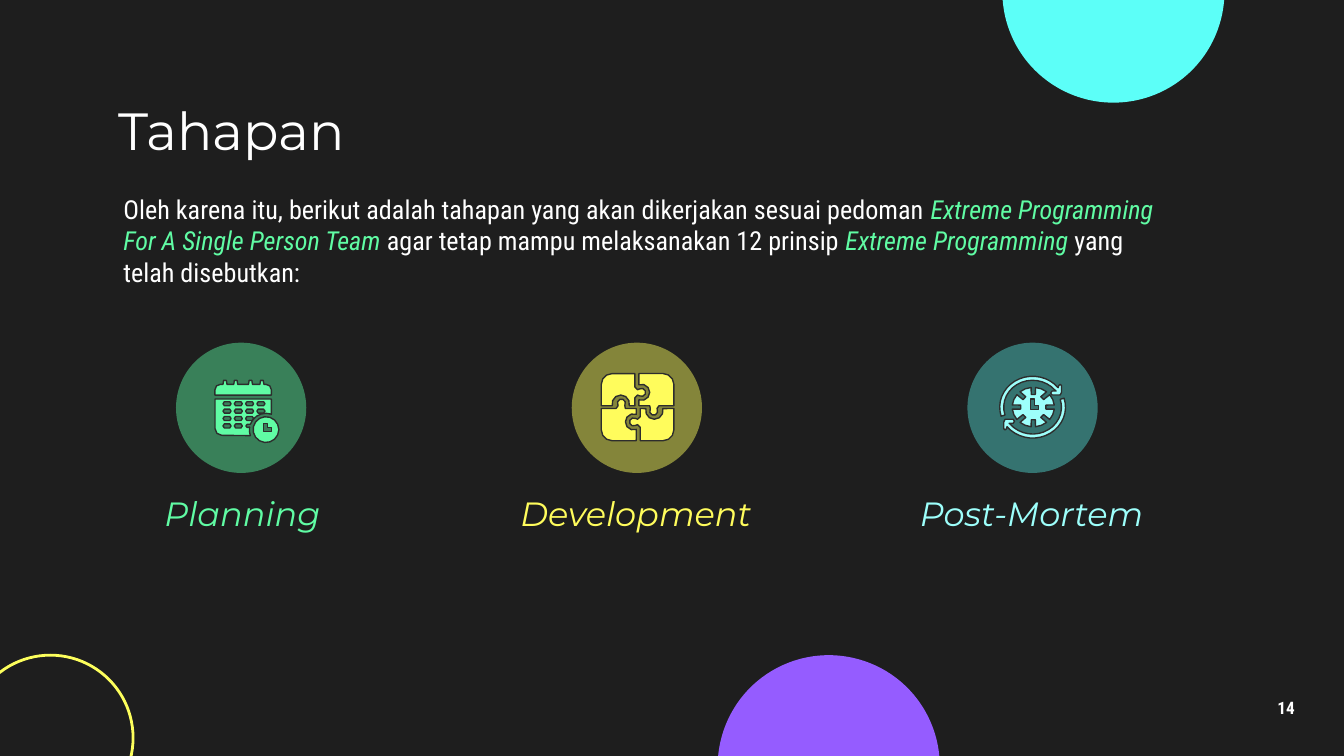
import math

import pptx
import pptx.util
from lxml import etree
from pptx.dml.color import RGBColor
from pptx.enum.shapes import MSO_SHAPE
from pptx.enum.text import MSO_ANCHOR, PP_ALIGN
from pptx.oxml.ns import qn

Pt = pptx.util.Pt

DARK = RGBColor(0x1E, 0x1E, 0x1E)
OUTLINE = RGBColor(0x2D, 0x2D, 0x2D)
WHITE = RGBColor(0xFF, 0xFF, 0xFF)
CYAN = RGBColor(0x5C, 0xFF, 0xF8)
PALE_CYAN = RGBColor(0x9D, 0xFF, 0xFB)
PURPLE = RGBColor(0x95, 0x5C, 0xFF)
YELLOW = RGBColor(0xFD, 0xFF, 0x5C)
WARM_YELLOW = RGBColor(0xFF, 0xFC, 0x5C)
GREEN = RGBColor(0x5C, 0xFF, 0xA6)
SOFT_GREEN = RGBColor(0x60, 0xFC, 0xA4)

HEADING = "Montserrat"
BODY = "Roboto Condensed"
GRID = 97    # icon grid units across a badge
FINE = 100   # freeform steps per grid unit


# Basic parts
def add_circle(slide, box, fill=None, line=None, alpha=None):
    sp = slide.shapes.add_shape(MSO_SHAPE.OVAL, *map(Pt, box))
    sp.shadow.inherit = False
    if fill is None:
        sp.fill.background()
    else:
        sp.fill.solid()
        sp.fill.fore_color.rgb = fill
    if line is None:
        sp.line.fill.background()
    else:
        sp.line.color.rgb = line
        sp.line.width = Pt(1.5)
    if alpha is not None:
        clr = sp._element.spPr.find(".//" + qn("a:srgbClr"))
        etree.SubElement(clr, qn("a:alpha"), val=str(alpha * 1000))


def add_text(slide, box, runs, align=PP_ALIGN.LEFT, indent=0, spacing=None):
    """Place one paragraph; runs is a list of (text, font values)."""
    tf = slide.shapes.add_textbox(*map(Pt, box)).text_frame
    frame = {"word_wrap": True, "vertical_anchor": MSO_ANCHOR.MIDDLE}
    frame.update({f"margin_{side}": Pt(7.2) for side in ("left", "top", "right", "bottom")})
    for key, value in frame.items():
        setattr(tf, key, value)
    p = tf.paragraphs[0]
    p.alignment = align
    if spacing:
        p.line_spacing = spacing
    if indent:
        p._p.get_or_add_pPr().set("marL", str(int(Pt(indent))))
    for text, values in runs:
        r = p.add_run()
        r.text = text
        for key, value in values.items():
            if key == "color":
                r.font.color.rgb = value
            else:
                setattr(r.font, key, value)


def add_outline(slide, box, contours, color):
    """Draw closed contours, given on the icon grid, inside a badge box."""
    x, y, w, h = box
    fine = [[(px * FINE, py * FINE) for px, py in c] for c in contours]
    fb = slide.shapes.build_freeform(*fine[0][0], scale=Pt(w) / GRID / FINE)
    for i, points in enumerate(fine):
        if i:
            fb.move_to(*points[0])
        fb.add_line_segments(points[1:], close=True)
    sp = fb.convert_to_shape(Pt(x), Pt(y))
    sp.shadow.inherit = False
    sp.fill.solid()
    sp.fill.fore_color.rgb = color
    sp.line.color.rgb = OUTLINE
    sp.line.width = Pt(0.75)


# Outline geometry on the icon grid
def arc(cx, cy, rx, start, end, ry=None):
    ry = ry or rx
    sweep = abs(end - start)
    n = max(math.ceil(sweep / 50), round(math.radians(sweep) * rx / 4))
    angles = [math.radians(start + (end - start) * i / n) for i in range(n + 1)]
    return [(cx + rx * math.cos(a), cy + ry * math.sin(a)) for a in angles]


def half_turn(points, cx, cy):
    return [(2 * cx - x, 2 * cy - y) for x, y in points]


def clock_hands(x, y, w, h):
    return [(x, y), (x + 3, y), (x + 3, y + h - 3), (x + w, y + h - 3),
            (x + w, y + h), (x, y + h)]


def day_mark(cx, cy):
    right = [(cx + 2, cy - 1.5), (cx + 3, cy), (cx + 2, cy + 1.5)]
    return right + half_turn(right, cx, cy)


# Icons: each is a list of shapes, each shape a list of contours
def calendar_icon():
    clock = [arc(67, 64.7, 9.6, 0, 360), clock_hands(65, 60, 6, 6)]
    page = ([(29, 42)] + arc(34, 64, 5, 180, 90) + arc(67, 65, 12.4, 160, 190)
            + [(53, 63.2), (52, 62), (53, 60.8)] + arc(67, 65, 12.4, 200, 289)
            + [(71, 42)])
    days = [day_mark(38 + 8.4 * col, 45.5 + 5.5 * row)
            for row, count in enumerate((4, 4, 3, 2)) for col in range(count)]
    header = [(29, 39)] + arc(33, 35, 4, 180, 270)
    for ring in (36.5, 44.5, 55.5, 64):
        header += [(ring - 1.5, 31), (ring - 1, 28), (ring + 1, 28), (ring + 1.5, 31)]
    header += arc(67, 35, 4, 270, 360) + [(71, 39)]
    return [clock, [page] + days, [header]]


def puzzle_icon():
    top_left = ([(22, 47)] + arc(30, 31, 8, 180, 270) + [(47, 23), (47, 33), (49, 35)]
                + arc(52, 37, 3, -120, 120) + [(49, 39), (47, 41), (47, 47)]
                + arc(36.5, 45.5, 6.5, 13, -193))
    top_right = ([(50, 23)] + arc(68, 31, 8, 270, 360) + [(76, 47), (65, 47), (63.5, 49)]
                 + arc(61, 51, 3, -30, 210) + [(58.5, 49), (58, 47), (50, 47)]
                 + arc(52, 37, 6, 110, -110))
    pieces = [top_left, top_right]
    pieces += [half_turn(piece, 49, 48) for piece in pieces]
    return [[piece] for piece in pieces]


def review_icon():
    cx, cy = 48.5, 48
    arrow = (arc(cx, cy, 24.5, 163, 321, ry=23)
             + [(68, 32), (69, 31), (70, 32), (70, 37), (69, 39), (63, 39),
                (62, 37.5), (63, 36), (66, 36)]
             + arc(cx, cy, 21.5, 321, 163, ry=20))
    gear = []
    for a in range(0, 360, 45):
        gear += arc(49, cy, 9.5, a - 9, a + 9)
        gear += arc(49, cy, 15.7, a + 6, a + 39, ry=14.7)
    return [[half_turn(arrow, cx, cy)], [arrow], [gear, clock_hands(47, 42, 6, 8)]]


# Regions
def add_backdrop(slide, box):
    x, y, w, h = box
    slide.background.fill.solid()
    slide.background.fill.fore_color.rgb = DARK
    low = y + h - 54
    add_circle(slide, (x + 537, y - 64, 119, 119), fill=CYAN)
    add_circle(slide, (x - 17.3, low, 88.6, 88.6), line=YELLOW)
    add_circle(slide, (x + 384.5, low, 119, 119), fill=PURPLE)
    number = {"name": BODY, "size": Pt(9.2), "bold": True, "color": WHITE}
    add_text(slide, (x + w - 52.6, y + h - 37.5, 43.2, 24.5), [("14", number)],
             PP_ALIGN.CENTER, spacing=0.9)


def add_intro(slide, box):
    x, y, w, h = box
    title = {"name": HEADING, "size": Pt(28), "color": WHITE}
    add_text(slide, (x + 8, y, w, 36.7), [("Tahapan", title)])
    plain = {"name": BODY, "size": Pt(14), "color": WHITE}
    term = {**plain, "italic": True, "color": SOFT_GREEN}
    add_text(slide, (x, y + h - 67.7, 589.7, 67.7), [
        ("Oleh karena itu, berikut adalah tahapan yang akan dikerjakan sesuai pedoman ", plain),
        ("Extreme Programming For A Single Person Team ", term),
        ("agar tetap mampu melaksanakan 12 prinsip ", plain),
        ("Extreme Programming", term),
        (" yang telah disebutkan:", plain),
    ], indent=10.8)


def add_stage(slide, box, label, color, tint, alpha, icon, shift):
    x, y, w, h = box
    badge = (x + (w - 69.8) / 2, y, 69.8, 69.8)
    add_circle(slide, badge, fill=tint, alpha=alpha)
    for contours in icon:
        add_outline(slide, badge, contours, color)
    font = {"name": HEADING, "size": Pt(18), "italic": True, "color": color}
    add_text(slide, (x + shift, y + h - 36, w, 36), [(label, font)], PP_ALIGN.CENTER)


def add_stages(slide, box):
    x, y, w, h = box
    stages = [
        ("Planning", SOFT_GREEN, GREEN, 44, calendar_icon(), 0.7),
        ("Development", WARM_YELLOW, YELLOW, 46, puzzle_icon(), -0.5),
        ("Post-Mortem", PALE_CYAN, CYAN, 38, review_icon(), -0.5),
    ]
    width = 152
    step = (w - width) / (len(stages) - 1)
    for i, stage in enumerate(stages):
        add_stage(slide, (x + i * step, y, width, h), *stage)


def main():
    prs = pptx.Presentation()
    prs.slide_width, prs.slide_height = Pt(720), Pt(405)
    slide = prs.slides.add_slide(prs.slide_layouts[6])
    add_backdrop(slide, (0, 0, 720, 405))
    add_intro(slide, (48.2, 51.1, 607.7, 111.6))
    add_stages(slide, (53.2, 183.6, 576, 109.4))
    prs.save("out.pptx")


if __name__ == "__main__":
    main()
